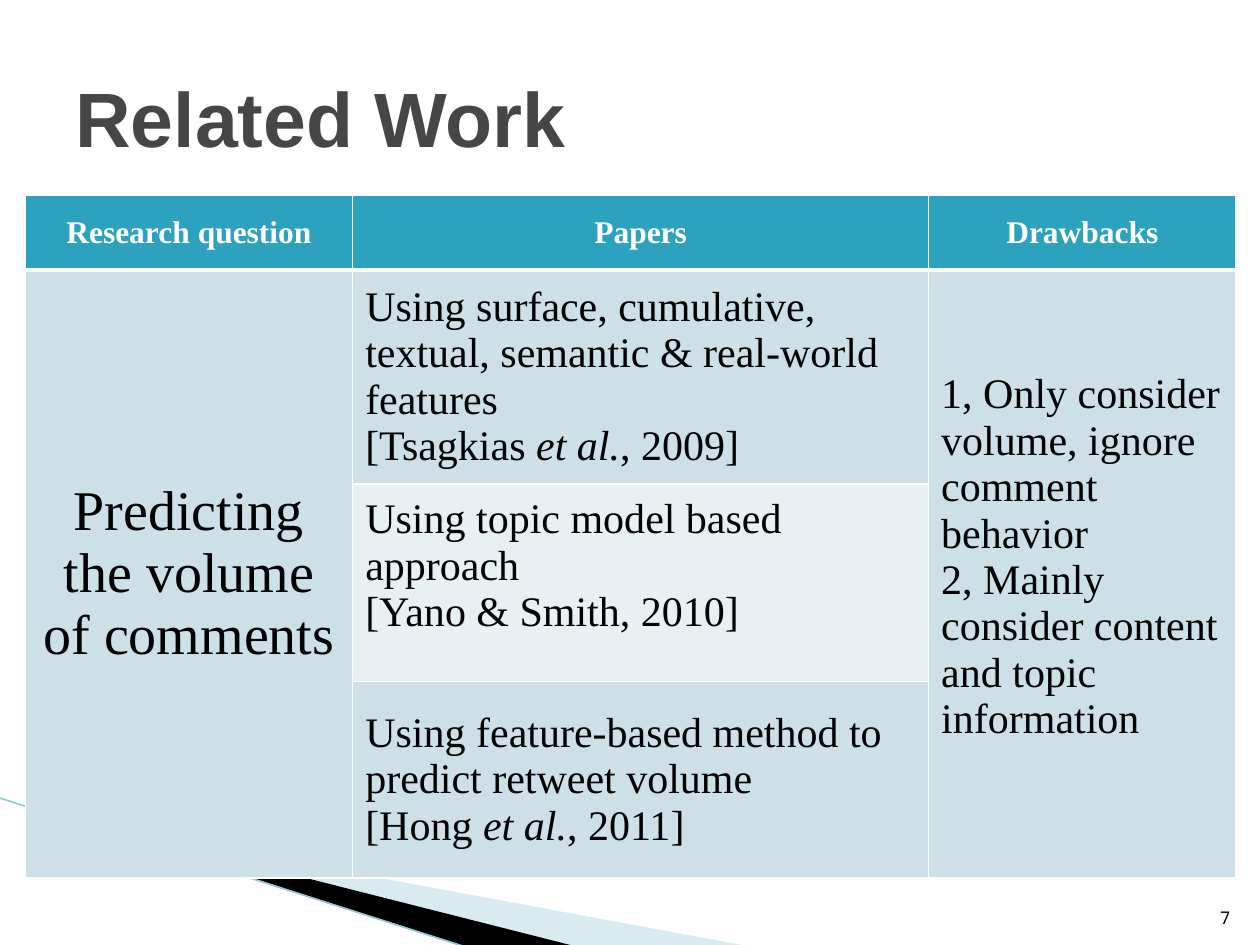
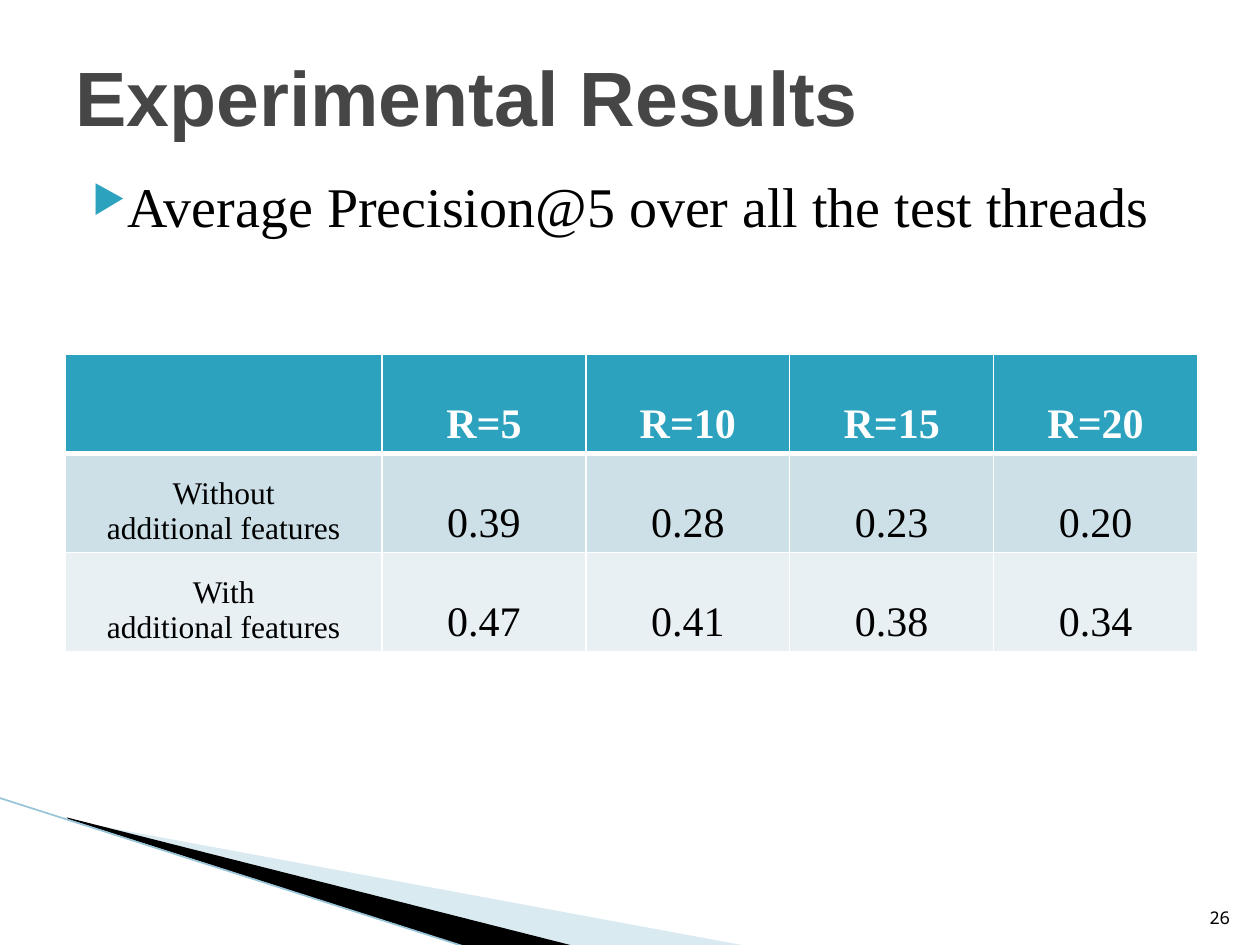
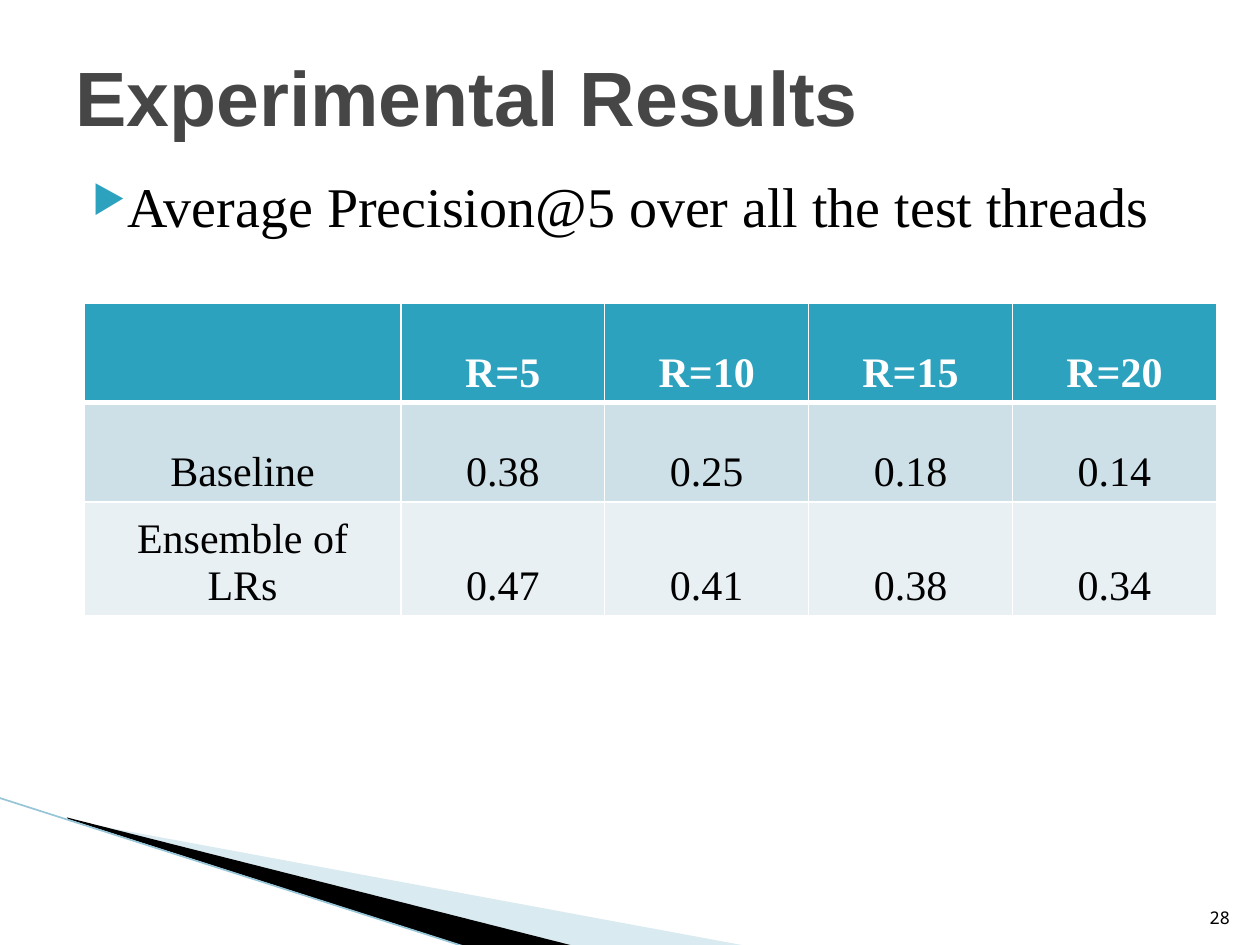
from dataclasses import dataclass

from pptx import Presentation
from pptx.dml.color import RGBColor
from pptx.enum.shapes import MSO_CONNECTOR
from pptx.enum.text import MSO_ANCHOR, PP_ALIGN
from pptx.oxml.ns import qn
from pptx.util import Cm, Pt
from lxml.etree import SubElement


@dataclass(frozen=True)
class Theme:
    accent: str = "2DA2BF"
    band_dark: str = "CDE0E8"
    band_light: str = "E8F0F4"
    sweep: str = "A0CBDC"
    sweep_line: str = "97C5D8"
    heading: str = "464646"
    black: str = "000000"
    white: str = "FFFFFF"
    heading_font: str = "Arial"
    body_font: str = "Times New Roman"
    number_font: str = "Noto Sans Mono"
    heading_size: int = 44
    large: int = 32
    medium: int = 24
    small: int = 18
    number_size: int = 10


@dataclass(frozen=True)
class Entry:
    """Text of a table cell; raised lifts it above the middle."""
    text: str
    size: int
    align: PP_ALIGN = PP_ALIGN.CENTER
    raised: bool = False


def rgb(code):
    return RGBColor.from_string(code)


class DeckBuilder:
    def __init__(self, theme):
        self.theme = theme
        self.deck = Presentation()
        self.deck.slide_width, self.deck.slide_height = Cm(25.4), Cm(19.05)
        self.page = None

    def new_page(self, title, number, title_height):
        theme = self.theme
        self.page = self.deck.slides.add_slide(self.deck.slide_layouts[6])
        self.polygon([(1.4, 16.54), (15.11, 19.08), (11.58, 19.08), (1.4, 16.51)],
                     theme.sweep, opacity=40)
        self.polygon([(1.35, 16.48), (11.61, 19.08), (9.45, 19.1), (1.37, 16.51)],
                     theme.black)
        self.line((-0.03, 16.08), (9.42, 19.1), theme.sweep_line, 0.95)
        self.text_box(1.27, 0.76, 22.86, title_height, title, theme.heading_font,
                      theme.heading_size, theme.heading, MSO_ANCHOR.MIDDLE, bold=True)
        self.text_box(24.03, 17.81, 1.02, 1.02, str(number), theme.number_font,
                      theme.number_size, theme.black, MSO_ANCHOR.BOTTOM, PP_ALIGN.RIGHT)

    def polygon(self, points, color, opacity=100):
        start, *others = [(Cm(x), Cm(y)) for x, y in points]
        builder = self.page.shapes.build_freeform(*start)
        builder.add_line_segments(others)
        shape = builder.convert_to_shape()
        shape.shadow.inherit = False
        shape.line.fill.background()
        shape.fill.solid()
        shape.fill.fore_color.rgb = rgb(color)
        if opacity < 100:
            fill_color = shape.element.spPr.find(qn("a:solidFill"))[0]
            SubElement(fill_color, qn("a:alpha"), val=str(opacity * 1000))

    def line(self, start, end, color, width):
        line = self.page.shapes.add_connector(
            MSO_CONNECTOR.STRAIGHT, *(Cm(value) for value in start + end))
        line.line.color.rgb = rgb(color)
        line.line.width = Pt(width)
        SubElement(line.element.spPr, qn("a:effectLst"))

    def style(self, para, font, size, color, align=PP_ALIGN.LEFT, bold=False):
        para.alignment = align
        para.font.name, para.font.size = font, Pt(size)
        para.font.color.rgb = rgb(color)
        para.font.bold = bold

    def text_box(self, left, top, width, height, text, font, size, color,
                 anchor=MSO_ANCHOR.TOP, align=PP_ALIGN.LEFT, bold=False):
        box = self.page.shapes.add_textbox(Cm(left), Cm(top), Cm(width), Cm(height))
        frame = box.text_frame
        frame.word_wrap = True
        frame.vertical_anchor = anchor
        para = frame.paragraphs[0]
        para.add_run().text = text
        self.style(para, font, size, color, align, bold)
        return para

    def bullet(self, text):
        theme = self.theme
        para = self.text_box(1.3, 3.33, 22.81, 1.63, text, theme.body_font,
                             theme.large, theme.black)
        para.space_before = Pt(4)
        properties = para._p.get_or_add_pPr()
        properties.set("marL", str(Cm(1.02)))
        properties.set("indent", str(Cm(-0.71)))
        bullet_color = SubElement(properties, qn("a:buClr"))
        SubElement(bullet_color, qn("a:srgbClr"), val=theme.accent)
        SubElement(properties, qn("a:buSzPct"), val="68000")
        SubElement(properties, qn("a:buChar"), char="▶")
        # The schema wants the default run properties after the bullet.
        properties.append(properties.find(qn("a:defRPr")))

    def table(self, left, top, widths, heights, rows, anchor):
        """Draw a table; a cell of None continues the cell above it."""
        table = self.page.shapes.add_table(
            len(rows), len(widths), Cm(left), Cm(top),
            Cm(sum(widths)), Cm(sum(heights))).table
        for column, width in zip(table.columns, widths):
            column.width = Cm(width)
        for row, height in zip(table.rows, heights):
            row.height = Cm(height)
        for row_index, entries in enumerate(rows):
            for column_index, entry in enumerate(entries):
                cell = table.cell(row_index, column_index)
                cell.vertical_anchor = anchor
                self.paint_cell(cell, row_index)
                if entry:
                    self.write_cell(cell, entry, is_header=row_index == 0)
        for column_index in range(len(widths)):
            column = [entries[column_index] for entries in rows]
            if None in column:
                first = column.index(None) - 1
                table.cell(first, column_index).merge(
                    table.cell(len(rows) - 1, column_index))

    def paint_cell(self, cell, row_index):
        theme = self.theme
        is_header = row_index == 0
        borders = {"lnL": 1, "lnR": 1, "lnT": 1, "lnB": 3 if is_header else 1}
        if not is_header:
            del borders["lnT"]
        properties = cell._tc.get_or_add_tcPr()
        for side, width in borders.items():
            border = SubElement(properties, qn(f"a:{side}"), w=str(Pt(width)))
            fill = SubElement(border, qn("a:solidFill"))
            SubElement(fill, qn("a:srgbClr"), val=theme.white)
        band = theme.band_dark if row_index % 2 else theme.band_light
        cell.fill.solid()
        cell.fill.fore_color.rgb = rgb(theme.accent if is_header else band)

    def write_cell(self, cell, entry, is_header):
        """Fill in the text; words between asterisks are italic."""
        theme = self.theme
        if entry.raised:
            cell.margin_bottom = Cm(0.8)
        for index, text in enumerate(entry.text.split("\n")):
            frame = cell.text_frame
            para = frame.add_paragraph() if index else frame.paragraphs[0]
            for part_index, part in enumerate(text.split("*")):
                span = para.add_run()
                span.text = part
                if part_index % 2:
                    span.font.italic = True
            self.style(para, theme.body_font, entry.size,
                       theme.white if is_header else theme.black,
                       entry.align, is_header)

    def results_page(self, number, left, top, label_size, results):
        medium = self.theme.medium
        self.new_page("Experimental Results", number, 2.36)
        self.bullet("Average Precision@5 over all the test threads")
        rows = [[None] + [Entry(f"R={count}", medium) for count in (5, 10, 15, 20)]]
        for label, scores in results.items():
            rows.append([Entry(label, label_size)]
                        + [Entry(f"{score:.2f}", medium) for score in scores])
        rows[0][0] = Entry("", medium)
        self.table(left, top, [6.38] + [4.11] * 4, [2] * 3, rows, MSO_ANCHOR.BOTTOM)


def related_work_page(builder):
    theme = builder.theme

    def paper(text, raised=False):
        return Entry(text, theme.medium, PP_ALIGN.LEFT, raised)

    headers = ("Research question", "Papers", "Drawbacks")
    rows = [
        [Entry(header, theme.small) for header in headers],
        [Entry("Predicting the volume of comments", theme.large),
         paper("Using surface, cumulative, textual, semantic & real-world features\n"
               "[Tsagkias *et al.*, 2009]"),
         paper("1, Only consider volume, ignore comment behavior\n"
               "2, Mainly consider content and topic information", raised=True)],
        [None,
         paper("Using topic model based approach\n[Yano & Smith, 2010]", raised=True),
         None],
        [None,
         paper("Using feature-based method to predict retweet volume\n"
               "[Hong *et al.*, 2011]"),
         None],
    ]
    builder.new_page("Related Work", 7, 3.18)
    builder.table(0.51, 3.94, [6.6, 11.61, 6.2], [1.5] + [3.96] * 3, rows,
                  MSO_ANCHOR.MIDDLE)


def main():
    theme = Theme()
    builder = DeckBuilder(theme)
    full_scores = (0.47, 0.41, 0.38, 0.34)
    related_work_page(builder)
    builder.results_page(26, 1.32, 7.14, theme.small, {
        "Without\nadditional features": (0.39, 0.28, 0.23, 0.20),
        "With\nadditional features": full_scores,
    })
    builder.results_page(28, 1.7, 6.12, theme.medium, {
        "Baseline": (0.38, 0.25, 0.18, 0.14),
        "Ensemble of LRs": full_scores,
    })
    builder.deck.save("out.pptx")


if __name__ == "__main__":
    main()
